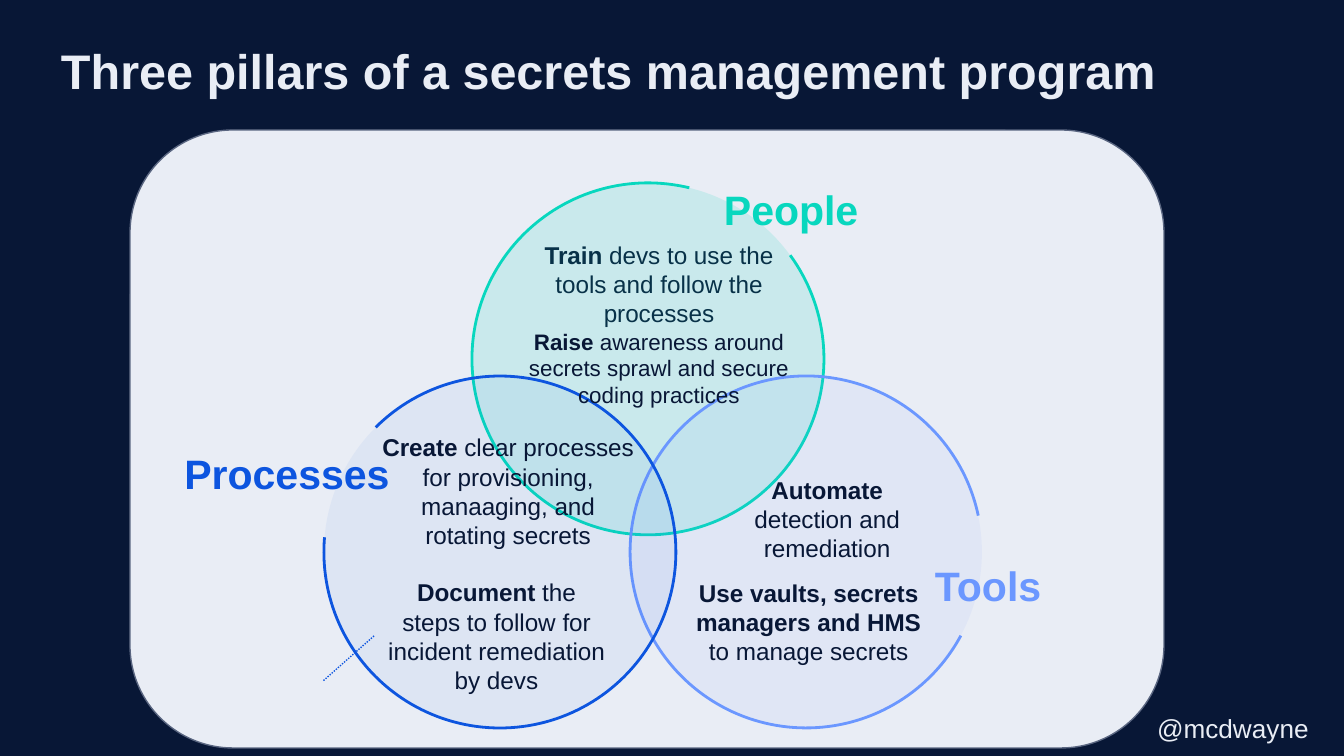
from lxml import etree
from pptx import Presentation
from pptx.dml.color import RGBColor
from pptx.enum.dml import MSO_LINE
from pptx.enum.shapes import MSO_CONNECTOR, MSO_SHAPE
from pptx.enum.text import MSO_ANCHOR, MSO_AUTO_SIZE, PP_ALIGN
from pptx.oxml.ns import qn
from pptx.util import Pt

SCALE = 9144000 / 1344  # EMU per px
FONT = "Arial"
COLORS = {
    "navy": "081736",
    "mist": "E9EDF5",
    "border": "5A6681",
    "people": "08D7BE",
    "people_fill": "09D6B9",
    "tools": "6B97FF",
    "processes": "0D55DF",
}
CIRCLE = 352
PAD = 13


def px(*values):
    return [round(value * SCALE) for value in values]


def rgb(name):
    return RGBColor.from_string(COLORS[name])


def add_shape(slide, kind, box, fill=None, alpha=None, line=None, width=1.5):
    shape = slide.shapes.add_shape(kind, *px(*box))
    shape.shadow.inherit = False
    if fill:
        shape.fill.solid()
        shape.fill.fore_color.rgb = rgb(fill)
        if alpha:
            color = shape.fill._xPr.find(".//" + qn("a:srgbClr"))
            etree.SubElement(color, qn("a:alpha"), val=str(alpha * 1000))
    else:
        shape.fill.background()
    if line:
        shape.line.color.rgb = rgb(line)
        shape.line.width = Pt(width)
    else:
        shape.line.fill.background()
    return shape


def add_text(slide, box, runs, size, color, align=PP_ALIGN.LEFT,
             anchor=MSO_ANCHOR.TOP, margins=(PAD, PAD, PAD, PAD),
             spacing=None, grow=False):
    """Add a one-paragraph text box; runs are (text, bold) pairs."""
    text_box = slide.shapes.add_textbox(*px(*box))
    frame = text_box.text_frame
    frame.word_wrap = True
    frame.auto_size = (MSO_AUTO_SIZE.SHAPE_TO_FIT_TEXT if grow
                       else MSO_AUTO_SIZE.NONE)
    frame.vertical_anchor = anchor
    (frame.margin_left, frame.margin_top,
     frame.margin_right, frame.margin_bottom) = px(*margins)
    paragraph = frame.paragraphs[0]
    paragraph.alignment = align
    if spacing:
        paragraph.line_spacing = spacing
    for text, bold in runs:
        run = paragraph.add_run()
        run.text = text
        run.font.name = FONT
        run.font.size = Pt(size)
        run.font.bold = bold
        run.font.color.rgb = rgb(color)
    return text_box


def add_note(slide, left, top, width, lead, rest, size=13, side=0):
    """Add a centred practice that opens with bold words."""
    return add_text(slide, (left, top, width, 62), [(lead, True), (rest, False)],
                    size, "navy", PP_ALIGN.CENTER, MSO_ANCHOR.MIDDLE,
                    (side, PAD, side, PAD))


def add_pillar(slide, left, top, color, fill, alpha, rotation):
    """Add a tinted disc with an open ring around it."""
    box = (left, top, CIRCLE, CIRCLE)
    add_shape(slide, MSO_SHAPE.OVAL, box, fill, alpha)
    ring = add_shape(slide, MSO_SHAPE.ARC, box, line=color)
    ring.adjustments[0] = 162
    ring.adjustments[1] = 137.82
    ring.rotation = rotation


def add_label(slide, left, top, width, text, color, align=PP_ALIGN.LEFT):
    add_text(slide, (left, top, width, 77), [(text, True)], 22, color, align,
             grow=True)


def add_dotted_line(slide, start_box, end, color):
    """Draw a dotted line from the left side of a box."""
    line = slide.shapes.add_connector(
        MSO_CONNECTOR.STRAIGHT, 0, 0, *px(*end))
    line.begin_connect(start_box, 1)
    line.line.color.rgb = rgb(color)
    line.line.width = Pt(0.75)
    line.line.dash_style = MSO_LINE.ROUND_DOT
    etree.SubElement(line._element.spPr, qn("a:effectLst"))


def main():
    presentation = Presentation()
    presentation.slide_width, presentation.slide_height = px(1344, 756)
    slide = presentation.slides.add_slide(presentation.slide_layouts[6])
    slide.background.fill.solid()
    slide.background.fill.fore_color.rgb = rgb("navy")

    # Frame: handle, panel and title
    add_text(slide, (1144, 699, 192, 59), [("@mcdwayne", False)], 14, "mist",
             grow=True)
    add_shape(slide, MSO_SHAPE.ROUNDED_RECTANGLE, (130, 130, 1034, 618),
              "mist", line="border", width=0.75)
    add_text(slide, (7, -4, 1179, 133),
             [("Three pillars of a secrets management program", True)],
             26, "mist", margins=(54, 54, 0, 0), spacing=0.85)

    # People: the first note lies under the tint
    add_note(slide, 530, 253, 258, "Train",
             " devs to use the tools and follow the processes", side=PAD)
    add_pillar(slide, 472, 183, "people", "people_fill", 14, 53.9)
    add_label(slide, 711, 171, 245, "People", "people")

    # Tools
    add_pillar(slide, 630, 376, "tools", "tools", 7, 118.4)
    add_label(slide, 922, 547, 183, "Tools", "tools")
    add_note(slide, 722, 488, 210, "Automate ", "detection and remediation")
    add_note(slide, 695, 591, 227, "Use vaults, secrets managers and HMS",
             " to manage secrets")

    # Processes
    add_pillar(slide, 324, 376, "processes", "processes", 5, 315.1)
    add_label(slide, 137, 435, 300, "Processes", "processes", PP_ALIGN.CENTER)
    document = add_note(
        slide, 374, 605, 245, "Document",
        " the steps to follow for incident remediation by devs", side=PAD)
    add_dotted_line(slide, document, (323, 681), "processes")
    add_note(slide, 379, 460, 258, "Create ",
             "clear processes for provisioning, manaaging, and rotating secrets")

    # People: the second note lies over all circles
    add_note(slide, 495, 337, 328, "Raise ",
             "awareness around secrets sprawl and secure coding practices",
             size=12, side=PAD)

    presentation.save("out.pptx")


if __name__ == "__main__":
    main()
